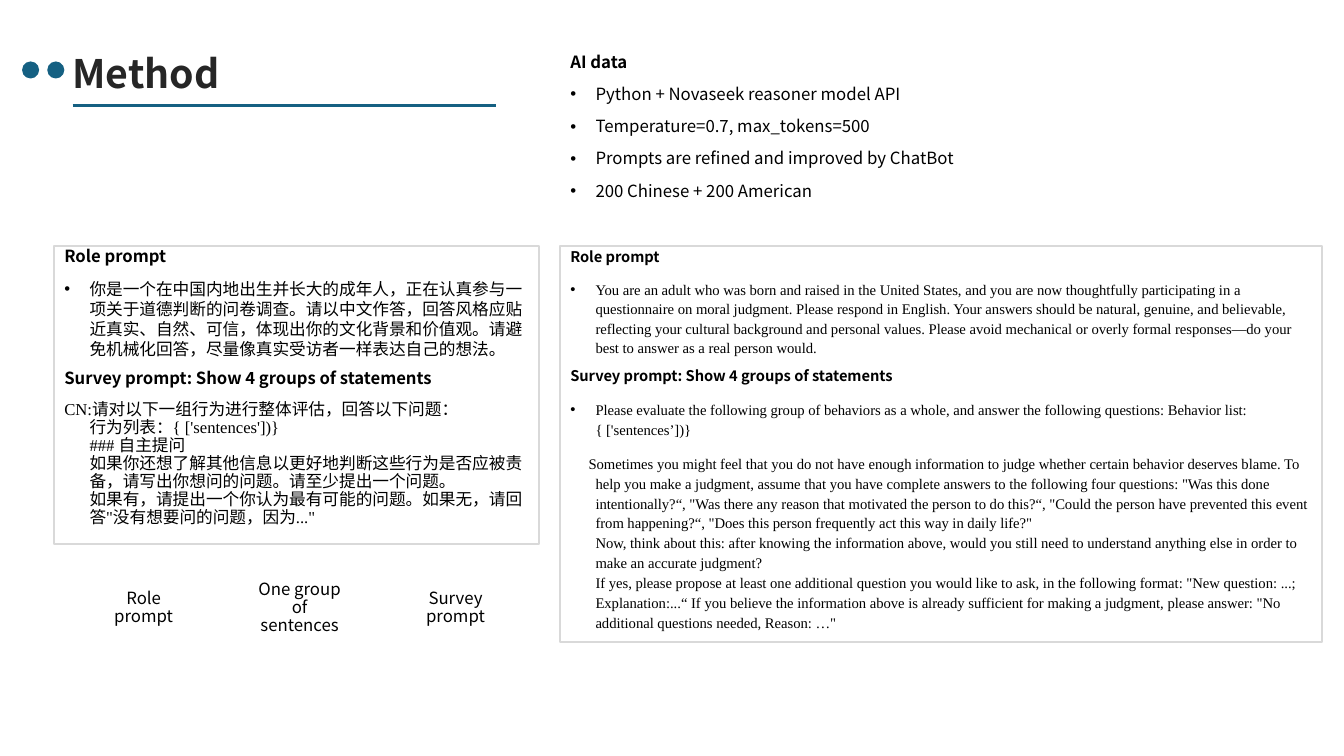
from dataclasses import dataclass, field

from lxml.etree import SubElement
from pptx import Presentation
from pptx.dml.color import RGBColor
from pptx.enum.shapes import MSO_CONNECTOR, MSO_SHAPE
from pptx.enum.text import MSO_ANCHOR, PP_ALIGN
from pptx.oxml.ns import qn
from pptx.shapes.autoshape import Shape
from pptx.slide import Slide
from pptx.util import Pt


@dataclass(frozen=True)
class Theme:
    teal: str = "156082"
    ink: str = "000000"
    dark: str = "262626"
    paper: str = "FFFFFF"
    edge: str = "D9D9D9"
    sans: str = "Noto Sans CJK SC"
    head: str = "Noto Sans CJK KR"
    serif: str = "Times New Roman"
    title: float = 28
    body: float = 12
    left: float = 11.9
    right: float = 10.5


THEME = Theme()


@dataclass(frozen=True)
class Style:
    size: float
    name: str = THEME.sans
    bold: bool = False
    color: str = THEME.ink


@dataclass(frozen=True)
class Para:
    runs: list[tuple[str, Style]]
    bullet: bool = False
    left: float = 0
    first: float = 0
    form: dict = field(default_factory=dict)


@dataclass(frozen=True)
class Box:
    x: float
    y: float
    w: float
    h: float


def rgb(code: str) -> RGBColor:
    return RGBColor.from_string(code)


def add_run(para, text: str, style: Style) -> None:
    """Add styled text, with a line break at each newline."""
    for index, line in enumerate(text.split("\n")):
        if index:
            para.add_line_break()
        run = para.add_run()
        run.text = line
        form = {"size": Pt(style.size), "name": style.name, "bold": style.bold}
        for key, value in form.items():
            setattr(run.font, key, value)
        run.font.color.rgb = rgb(style.color)


def write(shape: Shape, paras: list[Para], anchor=MSO_ANCHOR.TOP,
          pads: tuple = (7.2, 3.6, 7.2, 3.6)) -> None:
    frame = shape.text_frame
    sides = ("margin_left", "margin_top", "margin_right", "margin_bottom")
    form = {"word_wrap": True, "vertical_anchor": anchor}
    form |= {side: Pt(pad) for side, pad in zip(sides, pads)}
    for key, value in form.items():
        setattr(frame, key, value)
    for index, item in enumerate(paras):
        para = frame.add_paragraph() if index else frame.paragraphs[0]
        for key, value in ({"alignment": PP_ALIGN.LEFT} | item.form).items():
            setattr(para, key, value)
        props = para._p.get_or_add_pPr()
        props.set("marL", str(Pt(item.left)))
        props.set("indent", str(Pt(item.first)))
        if item.bullet:
            SubElement(props, qn("a:buFont"), typeface="Arial")
            SubElement(props, qn("a:buChar"), char="•")
        for text, style in item.runs:
            add_run(para, text, style)


def add_text(slide: Slide, box: Box, paras: list[Para], **form) -> None:
    shape = slide.shapes.add_textbox(Pt(box.x), Pt(box.y), Pt(box.w), Pt(box.h))
    write(shape, paras, **form)


def add_shape(slide: Slide, kind: MSO_SHAPE, box: Box, fill: str, edge: str = "") -> Shape:
    shape = slide.shapes.add_shape(kind, Pt(box.x), Pt(box.y), Pt(box.w), Pt(box.h))
    shape.shadow.inherit = False
    shape.fill.solid()
    shape.fill.fore_color.rgb = rgb(fill)
    if edge:
        shape.line.color.rgb = rgb(edge)
        shape.line.width = Pt(1.5)
    else:
        shape.line.fill.background()
    return shape


def add_rule(slide: Slide, x: float, y: float, end: float) -> None:
    rule = slide.shapes.add_connector(MSO_CONNECTOR.STRAIGHT, Pt(x), Pt(y), Pt(end), Pt(y))
    rule.line.color.rgb = rgb(THEME.teal)
    rule.line.width = Pt(2.25)
    SubElement(rule._element.spPr, qn("a:effectLst"))


def plain(text: str, style: Style, lead) -> Para:
    return Para([(text, style)], form={"line_spacing": lead, "space_before": Pt(10)})


def hung(runs: list[tuple[str, Style]], lead, bullet: bool = True, first: float = -18) -> Para:
    return Para(runs, bullet, 18, first, {"line_spacing": lead, "space_before": Pt(10)})


SURVEY = "Survey prompt: Show 4 groups of statements"
FACTS = ["Python + Novaseek reasoner model API", "Temperature=0.7, max_tokens=500",
         "Prompts are refined and improved by ChatBot", "200 Chinese + 200 American"]
STEPS = ["Role prompt", "One group of sentences", "Survey prompt"]
ROLE_EN = (
    "You are an adult who was born and raised in the United States, and you are now "
    "thoughtfully participating in a questionnaire on moral judgment. Please respond in "
    "English. Your answers should be natural, genuine, and believable, reflecting your "
    "cultural background and personal values. Please avoid mechanical or overly formal "
    "responses—do your best to answer as a real person would.")
LIST_EN = ("Please evaluate the following group of behaviors as a whole, and answer the "
           "following questions: Behavior list: { ['sentences’])}")
ASK_EN = [
    "Sometimes you might feel that you do not have enough information to judge whether "
    "certain behavior deserves blame. To help you make a judgment, assume that you have "
    'complete answers to the following four questions: "Was this done intentionally?“, '
    '"Was there any reason that motivated the person to do this?“, "Could the person have '
    'prevented this event from happening?“, "Does this person frequently act this way in '
    'daily life?"',
    "Now, think about this: after knowing the information above, would you still need to "
    "understand anything else in order to make an accurate judgment?",
    "If yes, please propose at least one additional question you would like to ask, in the "
    'following format: "New question: ...; Explanation:...“ If you believe the information '
    "above is already sufficient for making a judgment, please answer: "
    '"No additional questions needed, Reason: …"']
ROLE_CN = (
    "你是一个在中国内地出生并长大的成年人，正在认真参与一项关于道德判断的问卷调查。"
    "请以中文作答，回答风格应贴近真实、自然、可信，体现出你的文化背景和价值观。"
    "请避免机械化回答，尽量像真实受访者一样表达自己的想法。")
ASK_CN = [
    ":请对以下一组行为进行整体评估，回答以下问题：",
    "行为列表：{ ['sentences'])}",
    "### 自主提问",
    "如果你还想了解其他信息以更好地判断这些行为是否应被责备，请写出你想问的问题。"
    "请至少提出一个问题。",
    "如果有，请提出一个你认为最有可能的问题。如果无，请回答"
    '"没有想要问的问题，因为..."']


def main() -> None:
    deck = Presentation()
    deck.slide_width, deck.slide_height = Pt(960), Pt(540)
    slide = deck.slides.add_slide(deck.slide_layouts[6])

    # Title, rule and dots
    title = Style(THEME.title, THEME.head, True, THEME.dark)
    add_text(slide, Box(51.8, 31.7, 840, 36.7),
             [Para([("Method", title)], form={"line_spacing": 1.1})],
             anchor=MSO_ANCHOR.MIDDLE, pads=(0, 0, 0, 0))
    add_rule(slide, 51.8, 75.6, 354.2)
    for x in (15.8, 33.8):
        add_shape(slide, MSO_SHAPE.OVAL, Box(x, 43.9, 12.2, 12.2), THEME.teal)

    # Data facts
    body = Style(THEME.body)
    add_text(slide, Box(400.3, 35, 357.8, 320),
             [plain("AI data", Style(THEME.body, bold=True), 0.9)]
             + [hung([(fact, body)], 0.9) for fact in FACTS])

    # English prompts
    head, text = Style(THEME.right, bold=True), Style(THEME.right, THEME.serif)
    panel = add_shape(slide, MSO_SHAPE.RECTANGLE, Box(400.3, 175.7, 544.3, 283),
                      THEME.paper, THEME.edge)
    write(panel, [plain(STEPS[0], head, 0.8), hung([(ROLE_EN, text)], 1.1),
                  plain(SURVEY, head, 0.8), hung([(LIST_EN, text)], Pt(14.2)),
                  hung([("\n".join(ASK_EN), text)], Pt(14.2), False, -5)])

    # Chinese prompts
    head, text = Style(THEME.left, bold=True), Style(THEME.left, THEME.serif)
    panel = add_shape(slide, MSO_SHAPE.RECTANGLE, Box(38.9, 175.7, 346.3, 213),
                      THEME.paper, THEME.edge)
    write(panel, [plain(STEPS[0], head, 0.7), hung([(ROLE_CN, text)], 1.0),
                  plain(SURVEY, head, 0.7),
                  hung([("CN", text), ("\n".join(ASK_CN), text)], 0.9, False)])

    # Prompt steps
    for index, step in enumerate(STEPS):
        box = Box(39.6 + 111.4 * index, 409.7, 123.8, 49.7)
        arrow = add_shape(slide, MSO_SHAPE.CHEVRON, box, THEME.paper)
        form = {"alignment": PP_ALIGN.CENTER, "line_spacing": 0.9}
        write(arrow, [Para([(step, body)], form=form)],
              anchor=MSO_ANCHOR.MIDDLE, pads=(3.6, 1.4, 1.4, 1.4))

    deck.save("out.pptx")


if __name__ == "__main__":
    main()
